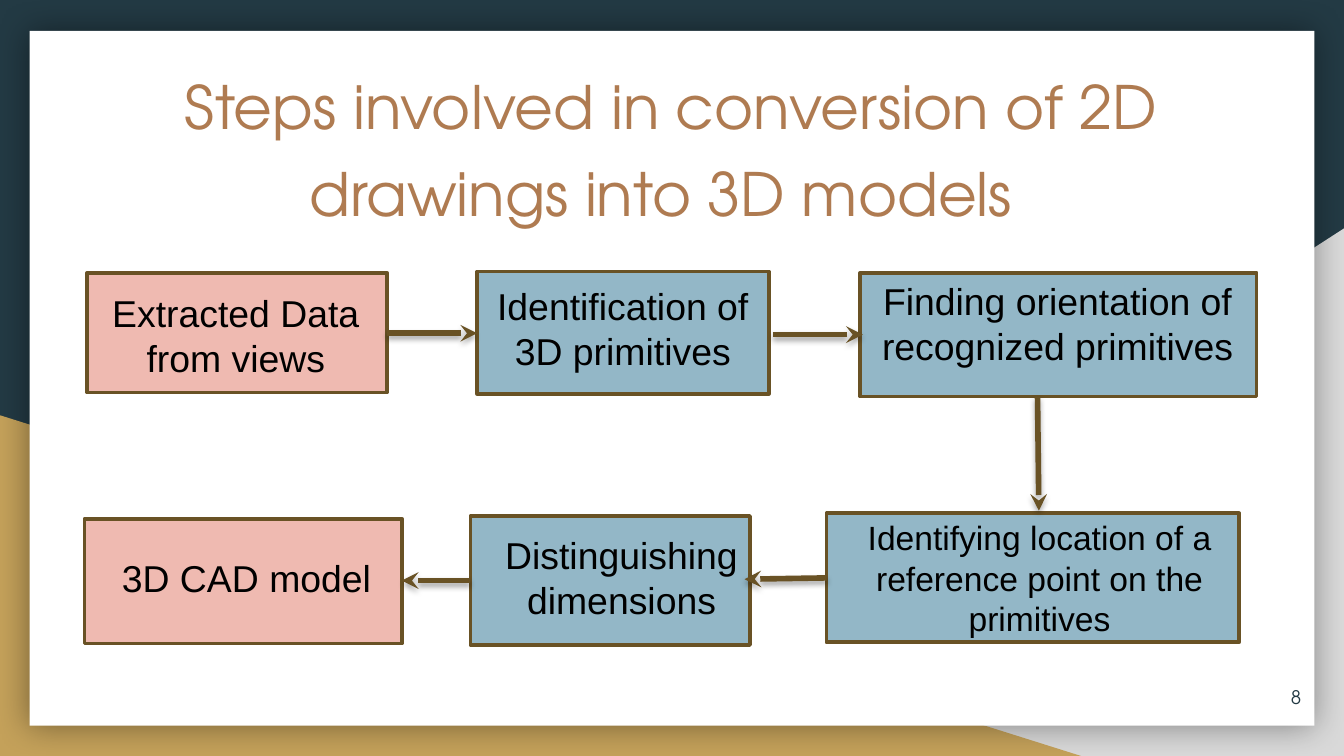
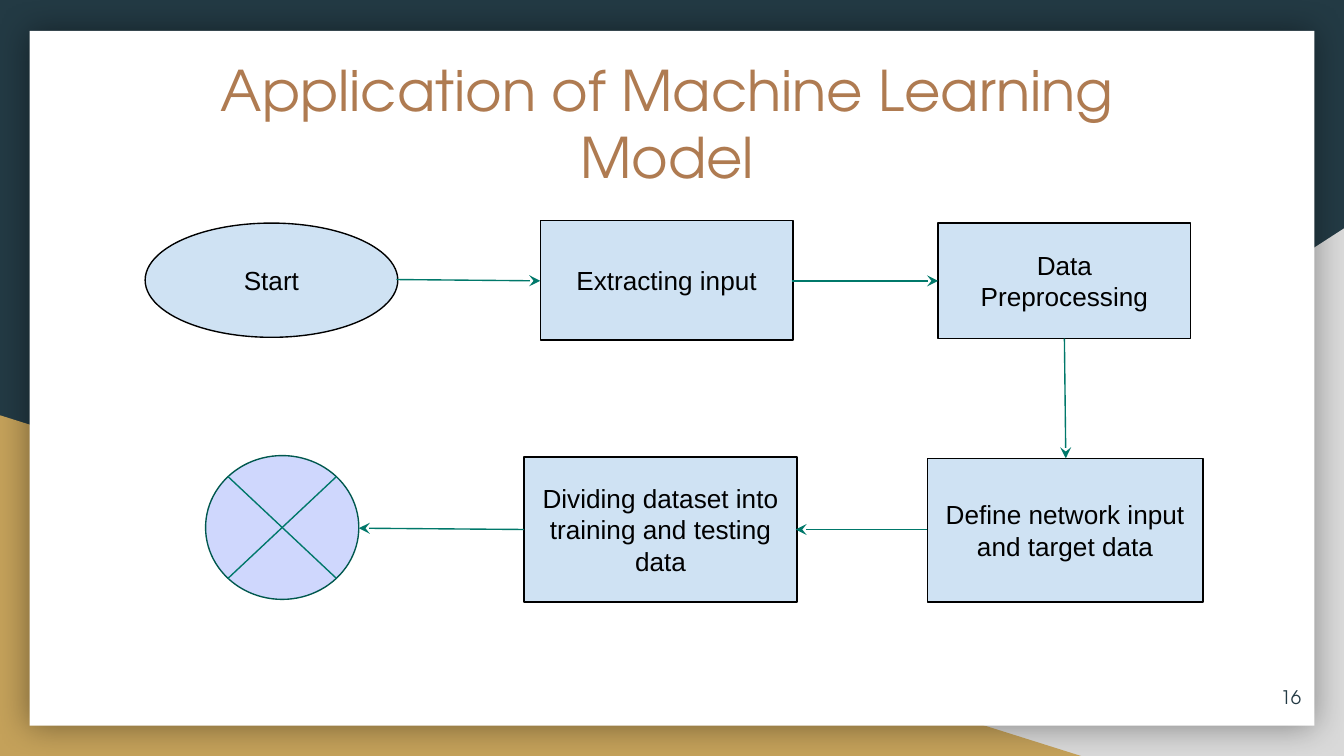
from math import sqrt

from lxml import etree
from pptx import Presentation
from pptx import util as u
from pptx.dml.color import RGBColor
from pptx.enum import shapes, text
from pptx.oxml.ns import qn

COLORS = {
    "navy": "233A44", "gray": "D9D9D9", "gold": "C4A15A", "white": "FFFFFF",
    "copper": "AF7B51", "black": "000000", "brown": "695225",
    "pink": "EFBAB1", "blue": "93B7C7", "pale": "CFE2F3",
    "lilac": "CFD7FD", "green": "00786A", "dark green": "00584E",
}
HEAD_FONT, BODY_FONT = "TeX Gyre Adventor", "Arial"
SHAPE = shapes.MSO_SHAPE
ANCHOR = text.MSO_ANCHOR
ALIGN = text.PP_ALIGN
PAGE_SHADOW = (40, 18, 0, 0)
ARROW_SHADOW = (35, 3.1, 1.8, 90)


def rgb(name):
    return RGBColor.from_string(COLORS[name])


def set_effect(shape, shadow=None):
    """Replace the theme effect; shadow is (opacity %, blur pt, distance pt, angle)."""
    effects = etree.SubElement(shape.element.spPr, qn("a:effectLst"))
    if shadow:
        alpha, blur, dist, angle = shadow
        outer = etree.SubElement(
            effects, qn("a:outerShdw"), blurRad=str(int(u.Pt(blur))),
            dist=str(int(u.Pt(dist))), dir=str(angle * 60000), algn="ctr",
            rotWithShape="0")
        color = etree.SubElement(outer, qn("a:srgbClr"), val=COLORS["black"])
        etree.SubElement(color, qn("a:alpha"), val=str(alpha * 1000))


class Deck:
    def __init__(self):
        self.prs = Presentation()
        self.prs.slide_width = u.Inches(10)
        self.prs.slide_height = u.Inches(5.625)
        fill = self.prs.slide_master.background.fill
        fill.solid()
        fill.fore_color.rgb = rgb("navy")
        self.s = None

    def slide(self, title, at, size, number, tail_size=None):
        """Start a slide; tail_size sets a closing space that opens up the last line."""
        self.s = self.prs.slides.add_slide(self.prs.slide_layouts[5])
        self.frame()
        sp = self.s.shapes.title
        sp.element.getparent().append(sp.element)  # in front of the page
        sp.left, sp.top, sp.width, sp.height = map(u.Inches, (*at, 8.21, 1.04))
        self.set_text(sp, title, size, HEAD_FONT, "copper", anchor=ANCHOR.TOP)
        if tail_size:
            r = sp.text_frame.paragraphs[0].add_run()
            r.text = " "
            r.font.size = u.Pt(tail_size)
        self.label(str(number), (9.18, 4.97, 0.6, 0.43), 10, HEAD_FONT, "navy",
                   ALIGN.RIGHT, ANCHOR.MIDDLE, 0.1)

    def frame(self):
        right = self.shape(SHAPE.RIGHT_TRIANGLE, (3.92, 1.7, 6.08, 3.93), "gray")
        right.element.spPr.get_or_add_xfrm().set("flipH", "1")
        self.shape(SHAPE.RIGHT_TRIANGLE, (0, 3.09, 8.06, 2.54), "gold")
        self.shape(SHAPE.RECTANGLE, (0.22, 0.23, 9.56, 5.17), "white", shadow=PAGE_SHADOW)

    def set_text(self, sp, words, size, font=BODY_FONT, color="black",
                 align=ALIGN.CENTER, anchor=ANCHOR.MIDDLE, inset_y=0.1):
        tf = sp.text_frame
        tf.word_wrap = True
        tf.auto_size = text.MSO_AUTO_SIZE.NONE
        tf.vertical_anchor = anchor
        tf.margin_left = tf.margin_right = u.Inches(0.1)
        tf.margin_top = tf.margin_bottom = u.Inches(inset_y)
        p = tf.paragraphs[0]
        p.text = words
        p.alignment = align
        p.font.name = font
        p.font.size = u.Pt(size)
        p.font.color.rgb = rgb(color)

    def label(self, words, at, size, font=BODY_FONT, color="black",
              align=ALIGN.CENTER, anchor=ANCHOR.TOP, inset_y=0.05):
        sp = self.s.shapes.add_textbox(*map(u.Inches, at))
        self.set_text(sp, words, size, font, color, align, anchor, inset_y)

    def shape(self, kind, at, fill, line=None, weight=0.75, shadow=None):
        sp = self.s.shapes.add_shape(kind, *map(u.Inches, at))
        sp.fill.solid()
        sp.fill.fore_color.rgb = rgb(fill)
        if line:
            sp.line.color.rgb = rgb(line)
            sp.line.width = u.Pt(weight)
        else:
            sp.line.fill.background()
        set_effect(sp, shadow)
        return sp

    def line(self, start, end, color, weight=0.75, arrow=True, shadow=None):
        sp = self.s.shapes.add_connector(
            shapes.MSO_CONNECTOR.STRAIGHT, *map(u.Inches, (*start, *end)))
        sp.line.color.rgb = rgb(color)
        sp.line.width = u.Pt(weight)
        if arrow:
            ln = sp.element.spPr.find(qn("a:ln"))
            etree.SubElement(ln, qn("a:tailEnd"), type="stealth")
        set_effect(sp, shadow)


def conversion_steps(deck):
    deck.slide("Steps involved in conversion of 2D drawings into 3D models",
               (0.89, 0.42), 32, 8, tail_size=40)
    steps = [  # words, box, box fill, label area, text size
        ("Extracted Data from views", (0.65, 2.03, 2.23, 0.89), "pink",
         (0.7, 2.11, 2.11, 1.01), 20),
        ("Identification of 3D primitives", (3.55, 2.02, 2.17, 0.91), "blue",
         (3.58, 2.06, 2.11, 1.01), 20),
        ("Finding orientation of recognized primitives", (6.4, 2.03, 2.95, 0.92), "blue",
         (6.44, 2.02, 2.86, 1.01), 20),
        ("Identifying location of a reference point on the primitives",
         (6.15, 3.82, 3.07, 0.96), "blue", (6.3, 3.8, 2.87, 1.25), 18),
        ("Distinguishing dimensions", (3.5, 3.84, 2.08, 0.96), "blue",
         (3.57, 3.91, 2.11, 1.01), 20),
        ("3D CAD model", (0.63, 3.86, 2.36, 0.93), "pink",
         (0.78, 4.08, 2.11, 0.67), 20),
    ]
    for words, box, fill, area, size in steps:
        deck.shape(SHAPE.RECTANGLE, box, fill, "brown", 2)
        deck.label(words, area, size)
    arrows = [
        ((2.88, 2.48), (3.55, 2.48)), ((5.75, 2.49), (6.42, 2.49)),
        ((7.72, 2.95), (7.73, 3.8)), ((6.15, 4.3), (5.54, 4.31)),
        ((3.5, 4.32), (2.99, 4.32)),
    ]
    for start, end in arrows:
        deck.line(start, end, "brown", 3, shadow=ARROW_SHADOW)


def learning_model(deck):
    deck.slide("Application of Machine Learning Model", (0.86, 0.31), 30, 16)
    stages = [
        ("Start", SHAPE.OVAL, (1.08, 1.66, 1.88, 0.85)),
        ("Extracting input", SHAPE.RECTANGLE, (4.02, 1.64, 1.88, 0.89)),
        ("Data Preprocessing", SHAPE.RECTANGLE, (6.98, 1.66, 1.88, 0.86)),
        ("Define network input and target data", SHAPE.RECTANGLE, (6.9, 3.41, 2.05, 1.07)),
        ("Dividing dataset into training and testing data", SHAPE.RECTANGLE,
         (3.9, 3.4, 2.03, 1.08)),
    ]
    for words, kind, at in stages:
        deck.set_text(deck.shape(kind, at, "pale", "black"), words, 14)

    x, y, w, h = end_node = (1.53, 3.39, 1.14, 1.07)
    deck.shape(SHAPE.FLOWCHART_CONNECTOR, end_node, "lilac", "dark green")
    cx, cy = x + w / 2, y + h / 2
    dx, dy = w / sqrt(8), h / sqrt(8)
    for side in (1, -1):
        deck.line((cx - side * dx, cy + dy), (cx + side * dx, cy - dy), "green", arrow=False)

    arrows = [
        ((2.95, 2.08), (4.02, 2.09)), ((5.89, 2.09), (6.98, 2.09)),
        ((7.92, 2.52), (7.93, 3.41)), ((6.9, 3.94), (5.92, 3.94)),
        ((3.9, 3.94), (2.67, 3.93)),
    ]
    for start, end in arrows:
        deck.line(start, end, "green")


def main():
    deck = Deck()
    conversion_steps(deck)
    learning_model(deck)
    deck.prs.save("out.pptx")


if __name__ == "__main__":
    main()
